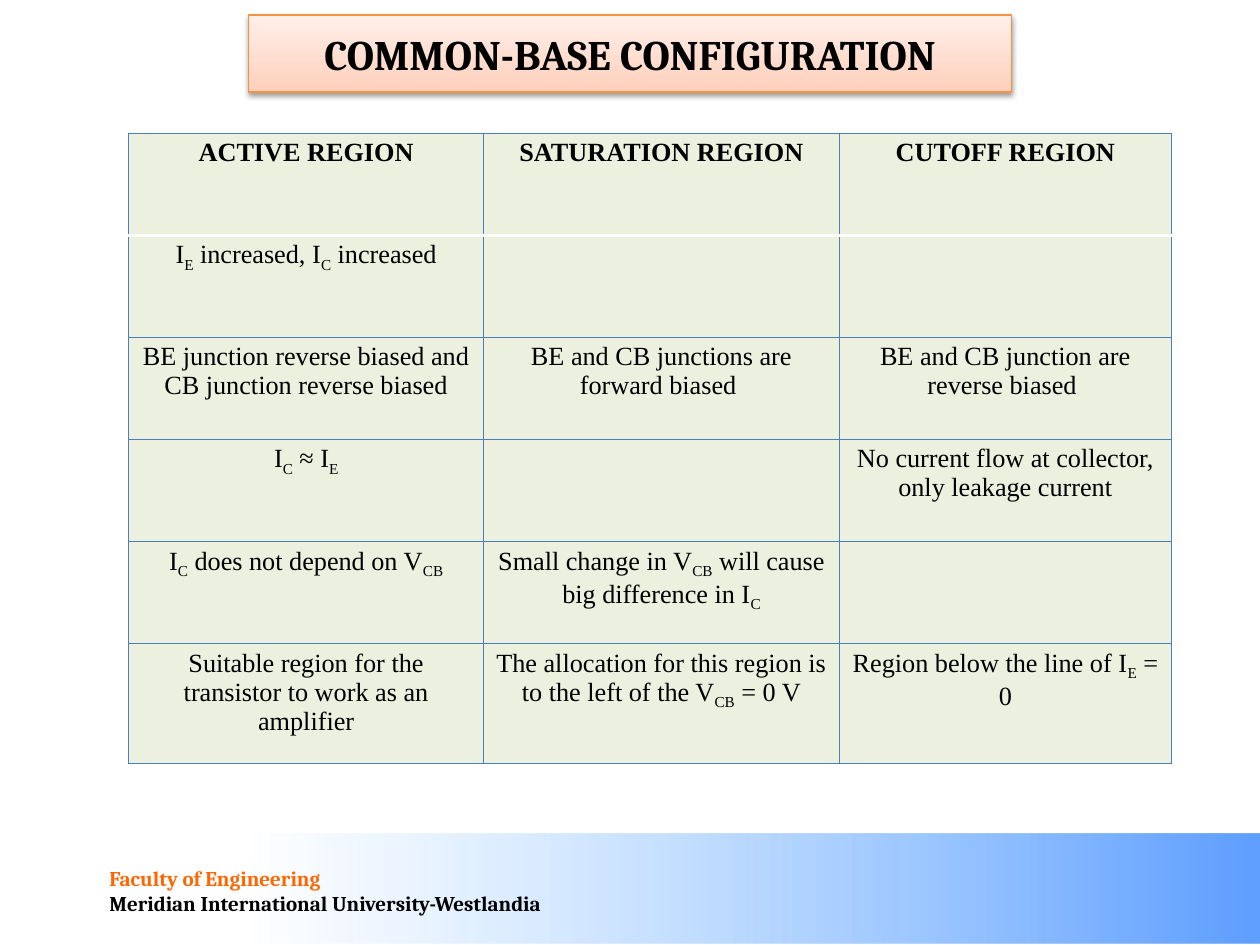
import pptx
import pptx.dml.color
import pptx.enum.shapes
import pptx.enum.text
import pptx.oxml
import pptx.oxml.ns
import pptx.util
from pptx.util import Inches

NS = pptx.oxml.ns.nsdecls("a")
CENTER = pptx.enum.text.PP_ALIGN.CENTER
MIDDLE = pptx.enum.text.MSO_ANCHOR.MIDDLE


def color(hex_value):
    return pptx.dml.color.RGBColor.from_string(hex_value)


class SlideBuilder:
    heading_font = "Cambria"
    body_font = "Times New Roman"
    ink = "000000"
    cell_fill = "EBF1DE"
    grid = ("4B7EBC", 0.75)
    header_rule = ("FFFFFF", 2)

    def __init__(self, page):
        self.page = page

    def style(self, para, name, size, bold=False, ink=None):
        para.font.name = name
        para.font.size = pptx.util.Pt(size)
        para.font.bold = bold
        para.font.color.rgb = color(ink or self.ink)

    def gradient_box(self, left, top, width, height, stops, angle):
        """Add a rectangle whose stops are (position %, colour, opacity %)."""
        box = self.page.shapes.add_shape(
            pptx.enum.shapes.MSO_SHAPE.RECTANGLE,
            Inches(left), Inches(top), Inches(width), Inches(height))
        box.shadow.inherit = False
        box.line.fill.background()
        marks = "".join(
            f'<a:gs pos="{pos * 1000}"><a:srgbClr val="{tone}">'
            f'<a:alpha val="{alpha * 1000}"/></a:srgbClr></a:gs>'
            for pos, tone, alpha in stops)
        box._element.spPr.find(pptx.oxml.ns.qn("a:prstGeom")).addnext(
            pptx.oxml.parse_xml(
                f'<a:gradFill {NS} rotWithShape="1"><a:gsLst>{marks}</a:gsLst>'
                f'<a:lin ang="{angle * 60000}" scaled="0"/></a:gradFill>'))
        return box

    def title(self, text, left, top, width, height):
        box = self.gradient_box(left, top, width, height,
                                [(0, "FFEFEA", 100), (100, "FFD0BC", 100)], 90)
        box.line.color.rgb = color("F69240")
        box.line.width = pptx.util.Pt(0.75)
        effects = box._element.spPr.find(pptx.oxml.ns.qn("a:effectLst"))
        effects.append(pptx.oxml.parse_xml(
            f'<a:outerShdw {NS} blurRad="{pptx.util.Pt(3.1)}" '
            f'dist="{pptx.util.Pt(1.6)}" dir="5400000" rotWithShape="0">'
            '<a:srgbClr val="000000"><a:alpha val="38000"/></a:srgbClr>'
            '</a:outerShdw>'))
        frame = box.text_frame
        frame.vertical_anchor = MIDDLE
        para = frame.paragraphs[0]
        para.text = text
        para.alignment = CENTER
        self.style(para, self.heading_font, 24, True)

    def text_lines(self, lines, left, top, width, height):
        box = self.page.shapes.add_textbox(
            Inches(left), Inches(top), Inches(width), Inches(height))
        frame = box.text_frame
        frame.word_wrap = False
        for index, (text, ink) in enumerate(lines):
            para = frame.add_paragraph() if index else frame.paragraphs[0]
            para.text = text
            self.style(para, self.heading_font, 12, True, ink)

    def borders(self, cell, **changes):
        for side in "LRTB":
            tone, width = changes.get(side, self.grid)
            cell._tc.get_or_add_tcPr().append(pptx.oxml.parse_xml(
                f'<a:ln{side} {NS} w="{pptx.util.Pt(width)}"><a:solidFill>'
                f'<a:srgbClr val="{tone}"/></a:solidFill></a:ln{side}>'))

    def cell(self, cell, text, bold):
        """Fill a cell; text between tildes is set as subscript."""
        cell.margin_left = cell.margin_right = Inches(0.07)
        cell.margin_top = cell.margin_bottom = Inches(0.04)
        cell.fill.solid()
        cell.fill.fore_color.rgb = color(self.cell_fill)
        para = cell.text_frame.paragraphs[0]
        para.alignment = CENTER
        self.style(para, self.body_font, 15, bold)
        for index, piece in enumerate(text.split("~")):
            if piece:
                span = para.add_run()
                span.text = piece
                if index % 2:
                    span._r.get_or_add_rPr().set("baseline", "-25000")

    def table(self, rows, left, top, widths, heights):
        table = self.page.shapes.add_table(
            len(rows), len(widths), Inches(left), Inches(top),
            Inches(sum(widths)), Inches(sum(heights))).table
        table.first_row = True
        table.horz_banding = False
        for column, width in zip(table.columns, widths):
            column.width = Inches(width)
        for r, (texts, height) in enumerate(zip(rows, heights)):
            table.rows[r].height = Inches(height)
            rule = {0: {"B": self.header_rule}, 1: {"T": self.header_rule}}
            for c, text in enumerate(texts):
                self.borders(table.cell(r, c), **rule.get(r, {}))
                self.cell(table.cell(r, c), text, bold=r == 0)


REGIONS = [
    ("ACTIVE REGION", "SATURATION REGION", "CUTOFF REGION"),
    ("I~E~ increased, I~C~ increased", "", ""),
    ("BE junction reverse biased and CB junction reverse biased",
     "BE and CB junctions are forward biased ",
     "BE and CB junction are reverse biased "),
    ("I~C~ ≈ I~E~", "", "No current flow at collector, only leakage current"),
    ("I~C~ does not depend on V~CB~",
     "Small change in V~CB~ will cause big difference in I~C~", ""),
    ("Suitable region for the transistor to work as an amplifier",
     "The allocation for this region is to the left of the V~CB~ = 0 V",
     "Region below the line of I~E~ = 0"),
]


def main():
    deck = pptx.Presentation()
    deck.slide_width, deck.slide_height = Inches(10), Inches(7.5)
    builder = SlideBuilder(deck.slides.add_slide(deck.slide_layouts[6]))

    # Footer band and institution
    builder.gradient_box(0, 6.62, 10, 0.87, [
        (0, "5E9EFF", 100), (80, "85C2FF", 0), (100, "85C2FF", 0)], 180)
    builder.text_lines([
        ("Faculty of Engineering", "FF6600"),
        ("Meridian International University-Westlandia", "000000"),
    ], 0.77, 6.82, 3.8, 0.51)

    # Comparison of operating regions
    builder.table(REGIONS, 1.02, 1.06, [2.82, 2.82, 2.64], [0.81] * 5 + [0.95])

    # Title
    builder.title("COMMON-BASE CONFIGURATION", 1.97, 0.12, 6.06, 0.61)

    deck.save("out.pptx")


if __name__ == "__main__":
    main()
